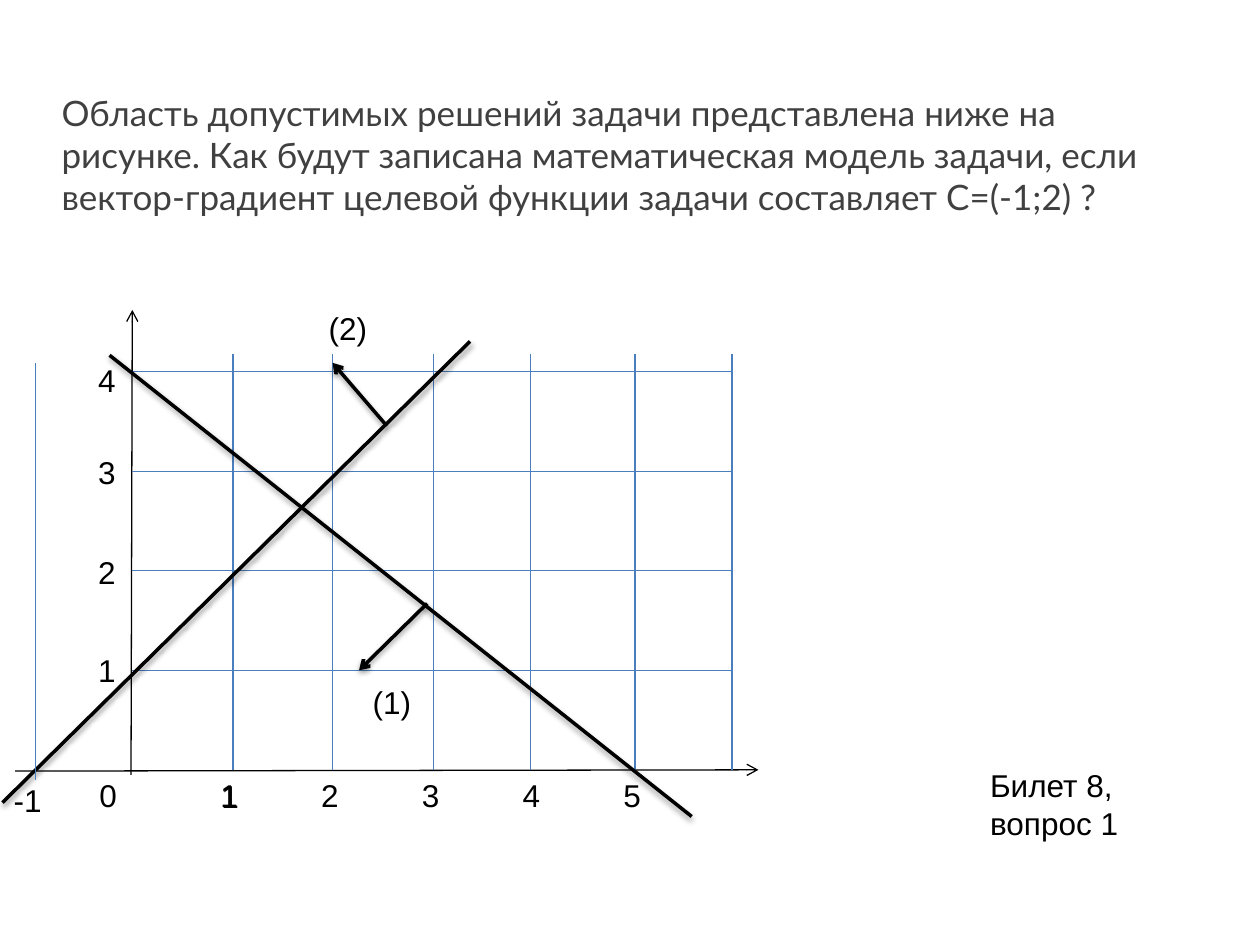
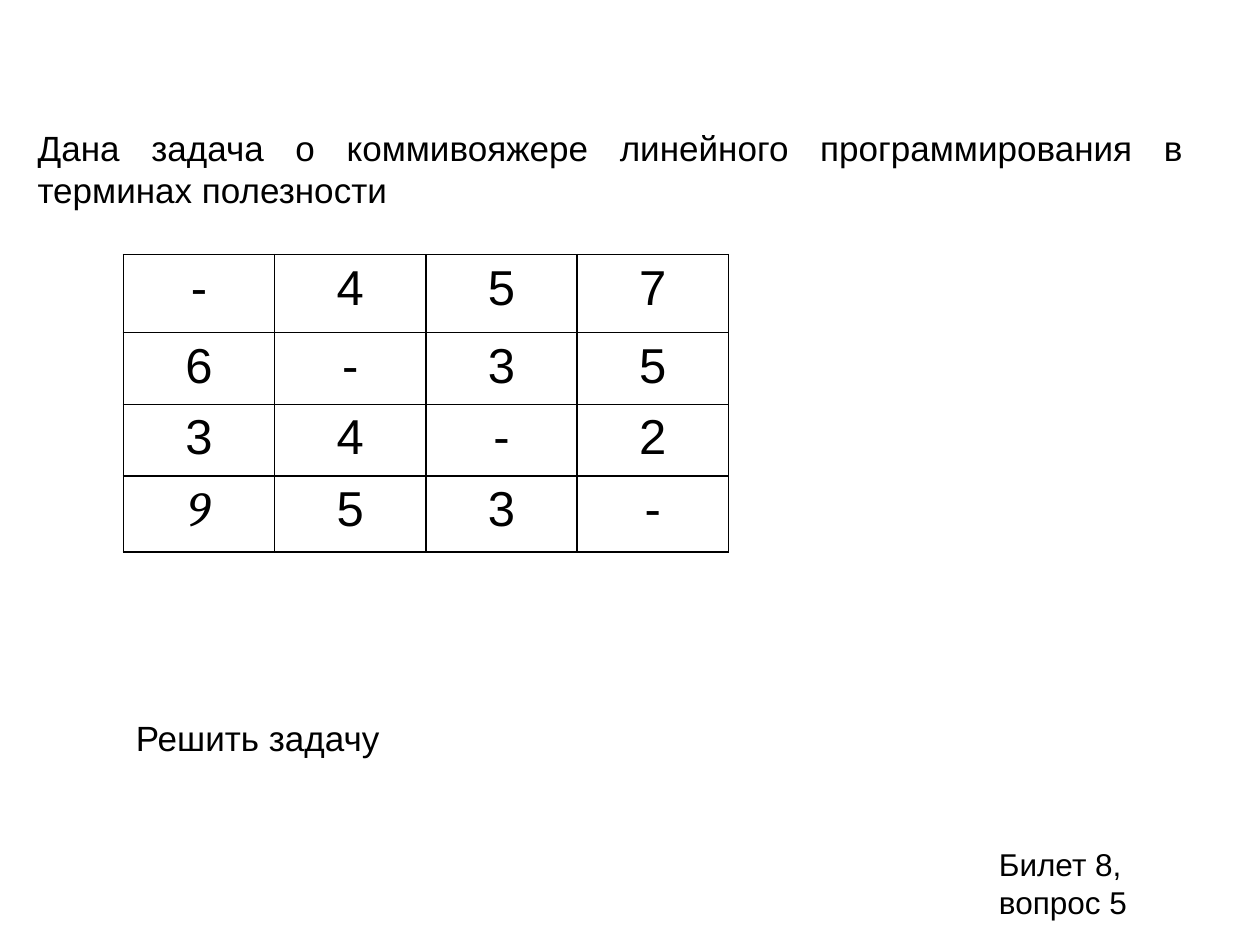
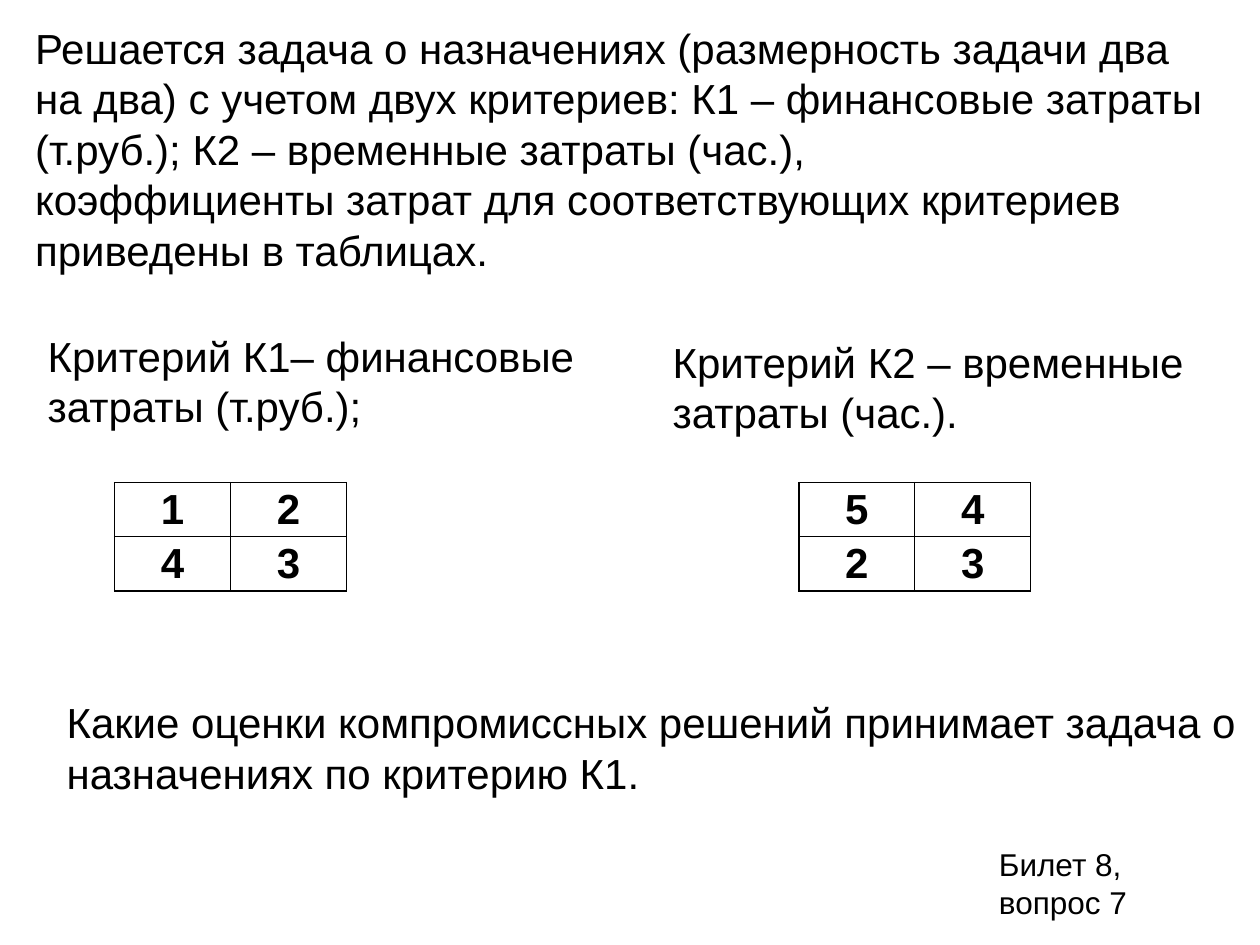
from dataclasses import dataclass

from lxml.etree import SubElement
from pptx import Presentation
from pptx.dml.color import RGBColor
from pptx.enum.shapes import MSO_CONNECTOR
from pptx.enum.text import MSO_ANCHOR, MSO_AUTO_SIZE, PP_ALIGN
from pptx.oxml.ns import qn
from pptx.util import Inches, Pt


@dataclass(frozen=True)
class Theme:
    font: str = "Arial"
    question_font: str = "Lato"
    accent_font: str = "Cambria"
    black: str = "000000"
    gray: str = "404040"
    grid: str = "4B7EBC"
    label: int = 18
    body: int = 20
    large: int = 24
    matrix: int = 28
    thin: float = 0.75
    border: float = 1
    thick: float = 2


THEME = Theme()

QUESTION = (
    "Область допустимых решений задачи представлена ниже на рисунке. "
    "Как будут записана математическая модель задачи, если "
    "вектор-градиент целевой функции задачи составляет С=(-1;2) ?"
)
# Plot geometry: origin and unit lengths in inches
ORIGIN_X, ORIGIN_Y = 1.05, 6.11
UNIT_X, UNIT_Y = 0.8, 0.79
GRID_TOP, GRID_RIGHT = 2.81, 5.82
VERTICALS = (1.85, 2.64, 3.44, 4.21, 5.04, 5.81)
HORIZONTAL_COUNT = 4
AXES = [((1.04, 6.15), (1.05, 2.46)), ((0.12, 6.12), (6.02, 6.11))]
CONSTRAINTS = [((0.02, 6.37), (3.73, 2.71)), ((0.87, 2.82), (5.49, 6.48))]
NORMALS = [((3.39, 4.79), (2.85, 5.32)), ((3.07, 3.38), (2.64, 2.88))]
LABEL_WIDTH, LABEL_HEIGHT = 0.37, 0.4
PLOT_LABELS = [
    ("0", 0.69, 6.11, LABEL_WIDTH),
    ("1", 1.66, 6.12, LABEL_WIDTH),
    ("1", 0.68, 5.12, LABEL_WIDTH),
    ("2", 0.68, 4.34, LABEL_WIDTH),
    ("3", 0.68, 3.55, LABEL_WIDTH),
    ("4", 0.68, 2.82, LABEL_WIDTH),
    ("-1", 0.01, 6.15, 0.53),
    ("(1)", 2.86, 5.37, 0.63),
    ("(2)", 2.51, 2.4, 0.63),
]

SALESMAN_TASK = "Дана задача о коммивояжере линейного программирования в терминах полезности"
UTILITIES = ["-457", "6-35", "34-2", "953-"]
UTILITY_ROW_HEIGHTS = [0.62, 0.57, 0.57, 0.6]

ASSIGNMENT_TASK = [
    "Решается задача о назначениях (размерность задачи два на два) с учетом двух "
    "критериев: К1 – финансовые затраты (т.руб.); К2 – временные затраты (час.),",
    "коэффициенты затрат для соответствующих критериев приведены в таблицах.",
]
CRITERIA = [
    ("Критерий К1– финансовые затраты (т.руб.);", (0.28, 2.57, 4.72, 0.91), ["12", "43"], 0.91),
    ("Критерий К2 – временные затраты (час.).", (5.24, 2.62, 4.43, 0.91), ["54", "23"], 6.34),
]
COMPROMISE_QUESTION = (
    "Какие оценки компромиссных решений принимает задача о назначениях по критерию К1."
)


def format_paragraph(paragraph, size, font=THEME.font, color=THEME.black, bold=False, italic=False):
    for run in paragraph.runs:
        run.font.size = Pt(size)
        run.font.name = font
        run.font.bold = bold
        run.font.italic = italic
        run.font.color.rgb = RGBColor.from_string(color)


def add_text(slide, text, box, size, align=PP_ALIGN.LEFT, anchor=MSO_ANCHOR.TOP, **style):
    text_frame = slide.shapes.add_textbox(*map(Inches, box)).text_frame
    text_frame.word_wrap = True
    text_frame.auto_size = MSO_AUTO_SIZE.SHAPE_TO_FIT_TEXT
    text_frame.vertical_anchor = anchor
    text_frame.text = text
    for paragraph in text_frame.paragraphs:
        paragraph.alignment = align
        format_paragraph(paragraph, size, **style)


def add_ticket(slide, question, left=7.83, top=6.66):
    add_text(slide, f"Билет 8, вопрос {question}", (left, top, 1.5, 0.71), THEME.label)


def add_line(slide, start, end, color=THEME.black, width=THEME.thin, arrow=False, shadow=False):
    connector = slide.shapes.add_connector(
        MSO_CONNECTOR.STRAIGHT, *map(Inches, (*start, *end)))
    connector.line.color.rgb = RGBColor.from_string(color)
    connector.line.width = Pt(width)
    properties = connector._element.spPr
    if arrow:
        SubElement(properties.find(qn("a:ln")), qn("a:tailEnd"), type="arrow")
    effects = SubElement(properties, qn("a:effectLst"))
    if shadow:
        outer = SubElement(effects, qn("a:outerShdw"), blurRad=str(Pt(3.1)),
                           dist=str(Pt(1.6)), dir="5400000", rotWithShape="0")
        shade = SubElement(outer, qn("a:srgbClr"), val=THEME.black)
        SubElement(shade, qn("a:alpha"), val="38000")


def set_borders(cell):
    properties = cell._tc.get_or_add_tcPr()
    for position, side in enumerate(("a:lnL", "a:lnR", "a:lnT", "a:lnB")):
        border = properties.makeelement(qn(side), {"w": str(Pt(THEME.border))})
        properties.insert(position, border)
        fill = SubElement(border, qn("a:solidFill"))
        SubElement(fill, qn("a:srgbClr"), val=THEME.black)


def add_matrix(slide, rows, left, top, column_width, row_heights, size, bold=False, compact=False):
    """Draw a bordered table with one character per cell; compact cells have no vertical margins."""
    width = column_width * len(rows[0])
    table = slide.shapes.add_table(
        len(rows), len(rows[0]),
        *map(Inches, (left, top, width, sum(row_heights)))).table
    table.first_row = table.horz_banding = False
    for column in table.columns:
        column.width = Inches(column_width)
    for row, height, values in zip(table.rows, row_heights, rows):
        row.height = Inches(height)
        for cell, value in zip(row.cells, values):
            cell.text = value
            cell.fill.background()
            set_borders(cell)
            if compact:
                cell.vertical_anchor = MSO_ANCHOR.MIDDLE
                cell.margin_left = cell.margin_right = Inches(0.07)
                cell.margin_top = cell.margin_bottom = 0
            paragraph = cell.text_frame.paragraphs[0]
            paragraph.alignment = PP_ALIGN.CENTER
            format_paragraph(paragraph, size, bold=bold)
    return table


def build_plot_slide(slide):
    add_text(slide, QUESTION, (0.39, 0.68, 9.06, 1.11), THEME.body,
             font=THEME.question_font, color=THEME.gray)
    for start, end in AXES:
        add_line(slide, start, end, arrow=True)
    for step in range(1, HORIZONTAL_COUNT + 1):
        y = ORIGIN_Y - step * UNIT_Y
        add_line(slide, (ORIGIN_X, y), (GRID_RIGHT, y), THEME.grid)
    for x in VERTICALS:
        add_line(slide, (x, GRID_TOP), (x, ORIGIN_Y), THEME.grid)
    for number in range(1, len(VERTICALS)):
        left = ORIGIN_X + number * UNIT_X - 0.2
        add_text(slide, str(number), (left, ORIGIN_Y, LABEL_WIDTH, LABEL_HEIGHT), THEME.label)
    for start, end in CONSTRAINTS:
        add_line(slide, start, end, width=THEME.thick, shadow=True)
    for start, end in NORMALS:
        add_line(slide, start, end, width=THEME.thick, arrow=True, shadow=True)
    for text, left, top, width in PLOT_LABELS:
        add_text(slide, text, (left, top, width, LABEL_HEIGHT), THEME.label)
    add_ticket(slide, 1, 7.76, 6.03)
    add_line(slide, (0.28, 2.88), (0.28, 6.19), THEME.grid)


def build_salesman_slide(slide):
    add_text(slide, "Решить задачу", (0.98, 5.64, 6.61, 0.44), THEME.body)
    add_text(slide, SALESMAN_TASK, (0.2, 0.95, 9.29, 0.77), THEME.body,
             align=PP_ALIGN.JUSTIFY, anchor=MSO_ANCHOR.MIDDLE)
    table = add_matrix(slide, UTILITIES, 0.98, 2.02, 1.2, UTILITY_ROW_HEIGHTS, THEME.matrix)
    format_paragraph(table.cell(3, 0).text_frame.paragraphs[0], THEME.matrix,
                     font=THEME.accent_font, italic=True)
    add_ticket(slide, 5)


def build_assignment_slide(slide):
    add_text(slide, "\n".join(ASSIGNMENT_TASK), (0.18, 0.13, 9.62, 2.12), THEME.large)
    for caption, box, costs, table_left in CRITERIA:
        add_text(slide, caption, box, THEME.large)
        add_matrix(slide, costs, table_left, 3.83, 0.92, [0.43] * 2, THEME.large,
                   bold=True, compact=True)
    add_text(slide, COMPROMISE_QUESTION, (0.43, 5.48, 9.61, 0.91), THEME.large)
    add_ticket(slide, 7)


def main():
    presentation = Presentation()
    presentation.slide_width = Inches(10)
    presentation.slide_height = Inches(7.5)
    blank = presentation.slide_layouts[6]
    for build in (build_plot_slide, build_salesman_slide, build_assignment_slide):
        build(presentation.slides.add_slide(blank))
    presentation.save("out.pptx")


if __name__ == "__main__":
    main()
